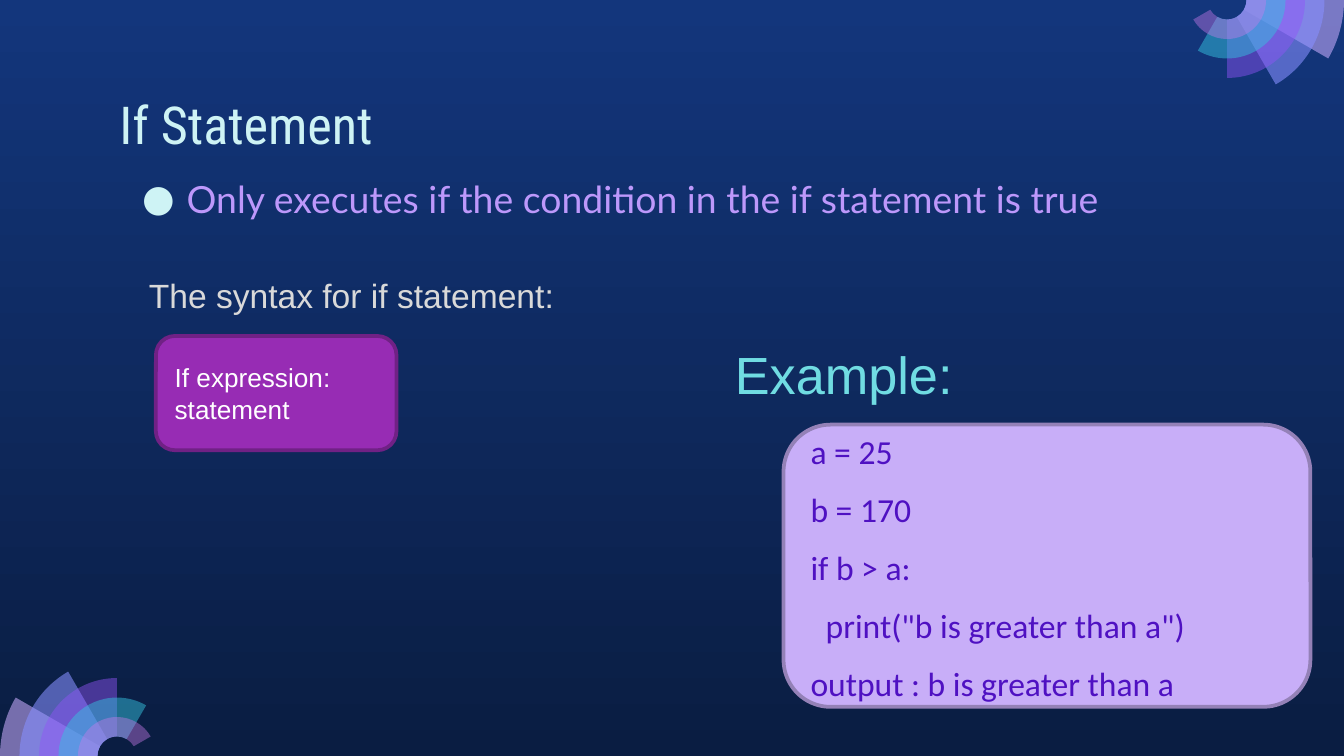
from math import cos, radians, sin, tan

from pptx import Presentation
from pptx.dml.color import RGBColor
from pptx.enum.shapes import MSO_SHAPE as SHAPE
from pptx.enum.text import MSO_ANCHOR as ANCHOR, PP_ALIGN as ALIGN
from pptx.oxml.ns import qn
from pptx.util import Inches, Pt
from lxml.etree import SubElement

WIDTH, HEIGHT = 10, 10 * 9 / 16

THEME = {
    "background": ("13367C", "0A1D42"),
    "rings": [("C8ACFD", 57), ("878FFF", 58), ("9154F8", 46), ("35C2DF", 49), ("CA7BEB", 42)],
    "title": {"font": "Roboto Condensed", "size": 28, "color": "CEF3F5"},
    "point": {"font": "Lato", "size": 20, "color": "BD98FB"},
    "bullet": {"font": "Roboto", "color": "CEF3F5"},
    "intro": {"font": "Arial", "size": 18, "color": "D9D9D9"},
    "syntax": {"font": "Arial", "size": 14, "color": "FFFFFF"},
    "syntax_card": ("972CB4", "702185"),
    "example": {"font": "Arial", "size": 28, "color": "70DCE2"},
    "code": {"font": "Calibri", "size": 18, "color": "4F11C2"},
    "code_card": ("C8AEF8", "9481B7"),
}

LABELS = [
    ("title", ["If Statement"], (0.79, 0.59, 8.43, 0.63), {"inset": 0.1}),
    ("point", ["Only executes if the condition in the if statement is true"],
     (0.79, 1.21, 8.63, 3.44), {"inset": 0.1, "bullet": "●"}),
    ("intro", ["The syntax for if statement:"], (1.01, 2, 3.73, 0.4), {}),
    ("example", ["Example:"], (5.37, 2.5, 3.15, 0.57), {}),
]
CARDS = [
    ("syntax", ["If expression:", "statement"], (1.16, 2.5, 1.79, 0.85), {}),
    ("code", ["a = 25", "b = 170", "if b > a:", '  print("b is greater than a")',
              "output : b is greater than a"],
     (5.83, 3.16, 3.92, 2.1), {"line_spacing": 1.07, "space_after": 8}),
]

RING_WIDTH = 0.87 / 6
FANS = [(0.87, HEIGHT, -1), (WIDTH - 0.87, 0, 1)]


def rgb(color):
    return RGBColor.from_string(color)


def add_bullet(paragraph, symbol):
    properties = paragraph._p.get_or_add_pPr()
    properties.set("marL", str(Inches(0.5)))
    properties.set("indent", str(-Inches(0.33)))
    color = SubElement(properties, qn("a:buClr"))
    SubElement(color, qn("a:srgbClr"), val=THEME["bullet"]["color"])
    SubElement(properties, qn("a:buFont"), typeface=THEME["bullet"]["font"])
    SubElement(properties, qn("a:buChar"), char=symbol)


def write_text(frame, lines, *, font, size, color, anchor=ANCHOR.TOP, inset=0.05,
               bullet=None, line_spacing=None, space_after=None):
    frame.word_wrap = True
    frame.vertical_anchor = anchor
    frame.margin_left = frame.margin_right = Inches(0.1)
    frame.margin_top = frame.margin_bottom = Inches(inset)
    for index, line in enumerate(lines):
        paragraph = frame.add_paragraph() if index else frame.paragraphs[0]
        paragraph.alignment = ALIGN.LEFT
        if line_spacing:
            paragraph.line_spacing = line_spacing
        if space_after:
            paragraph.space_after = Pt(space_after)
        if bullet:
            add_bullet(paragraph, bullet)
        run = paragraph.add_run()
        run.text = line
        run.font.name = font
        run.font.size = Pt(size)
        run.font.color.rgb = rgb(color)


def curve_points(radius, start, end):
    start, end = radians(start), radians(end)
    handle = 4 / 3 * tan((end - start) / 4)
    return [
        (radius * (cos(start) - handle * sin(start)), radius * (sin(start) + handle * cos(start))),
        (radius * (cos(end) + handle * sin(end)), radius * (sin(end) - handle * cos(end))),
        (radius * cos(end), radius * sin(end)),
    ]


def bend_lines(lines):
    for first, second, third in zip(lines[::3], lines[1::3], lines[2::3]):
        first.tag = qn("a:cubicBezTo")
        for extra in (second, third):
            first.append(extra[0])
            extra.getparent().remove(extra)


def add_ring(slide, center_x, center_y, direction, radius, sweep, color, opacity):
    stops = [0, min(sweep, 90)] + [sweep] * (sweep > 90)
    spans = list(zip(stops, stops[1:]))
    outer = [point for start, end in spans for point in curve_points(radius, start, end)]
    inner = [point for start, end in reversed(spans)
             for point in curve_points(RING_WIDTH, end, start)]
    corner = (RING_WIDTH * cos(radians(sweep)), RING_WIDTH * sin(radians(sweep)))
    outline = [(Inches(center_x + direction * x), Inches(center_y + direction * y))
               for x, y in [(radius, 0), *outer, corner, *inner]]
    builder = slide.shapes.build_freeform(*outline[0])
    builder.add_line_segments(outline[1:], close=True)
    ring = builder.convert_to_shape()
    lines = list(ring.element.spPr.iter(qn("a:lnTo")))
    bend_lines(lines[:len(outer)])
    bend_lines(lines[len(outer) + 1:])
    ring.shadow.inherit = False
    ring.line.fill.background()
    ring.fill.solid()
    ring.fill.fore_color.rgb = rgb(color)
    fill_color = ring.element.spPr.find(".//" + qn("a:srgbClr"))
    SubElement(fill_color, qn("a:alpha"), val=str(opacity * 1000))


def add_card(slide, role, lines, box, options):
    card = slide.shapes.add_shape(SHAPE.ROUNDED_RECTANGLE, *map(Inches, box))
    fill, border = THEME[role + "_card"]
    card.shadow.inherit = False
    card.fill.solid()
    card.fill.fore_color.rgb = rgb(fill)
    card.line.color.rgb = rgb(border)
    card.line.width = Pt(2)
    write_text(card.text_frame, lines, anchor=ANCHOR.MIDDLE, **THEME[role], **options)


def main():
    deck = Presentation()
    deck.slide_width, deck.slide_height = Inches(WIDTH), Inches(HEIGHT)
    slide = deck.slides.add_slide(deck.slide_layouts[6])

    backdrop = slide.background.fill
    backdrop.gradient()
    backdrop.gradient_angle = 270
    for stop, color in zip(backdrop.gradient_stops, THEME["background"]):
        stop.color.rgb = rgb(color)

    for fan in FANS:
        for index, (color, opacity) in enumerate(THEME["rings"]):
            add_ring(slide, *fan, RING_WIDTH * (6 - index), 30 * (index + 1), color, opacity)
    for role, lines, box, options in LABELS:
        label = slide.shapes.add_textbox(*map(Inches, box))
        write_text(label.text_frame, lines, **THEME[role], **options)
    for card in CARDS:
        add_card(slide, *card)
    deck.save("out.pptx")


if __name__ == "__main__":
    main()
